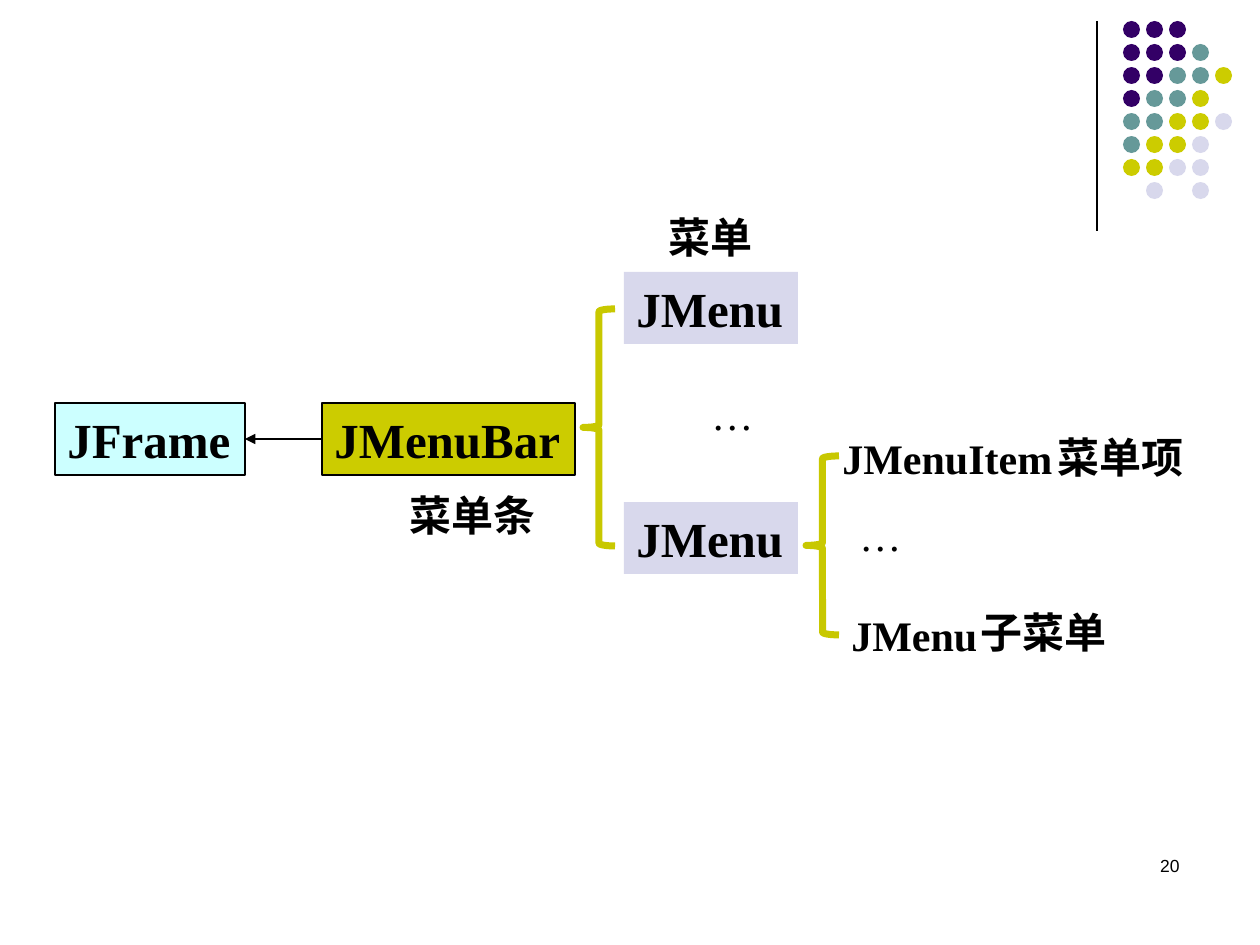
"""Builds a slide showing how a Swing menu bar is put together."""
from lxml.etree import SubElement
from pptx import Presentation
from pptx.dml.color import RGBColor
from pptx.enum.shapes import MSO_CONNECTOR as LINK, MSO_SHAPE as SHAPE
from pptx.enum.text import MSO_ANCHOR as ANCHOR, MSO_AUTO_SIZE as FIT, PP_ALIGN as ALIGN
from pptx.oxml.ns import qn
from pptx.util import Emu, Pt

BLACK, CYAN, OLIVE, LAVENDER = "000000", "CCFFFF", "CCCC00", "D8D8EC"
DOT_COLORS = {"P": "330066", "T": "669999", "O": OLIVE, "L": LAVENDER}
DOT_ROWS = ["PPP", "PPPT", "PPTTO", "PTTO", "TTOOL", "TOOL", "OOLL", " L L"]
LATIN, SANS = "Times New Roman", "Arial"


def px(length):
    """Turn pixels into EMU at 126 pixels to the inch."""
    return Emu(round(length * 914400 / 126))


def color(hex_code):
    """Turn a hex string into a colour."""
    return RGBColor.from_string(hex_code)


class MenuSlide:
    """Holds the style and the current slide."""

    def __init__(self, slide):
        """Keep the slide to draw on."""
        self.shapes = slide.shapes
        self.thin = Pt(0.75)

    def add_words(self, frame, text, size, font, bold=True, align=ALIGN.LEFT, wrap=False, fit=FIT.SHAPE_TO_FIT_TEXT):
        """Put one styled run in a text frame."""
        frame.word_wrap = wrap
        frame.auto_size = fit
        frame.vertical_anchor = ANCHOR.TOP
        paragraph = frame.paragraphs[0]
        paragraph.alignment = align
        run = paragraph.add_run()
        run.text = text
        run.font.size, run.font.name, run.font.bold = Pt(size), font, bold
        run.font.color.rgb = color(BLACK)

    def label(self, text, x, y, width, height=63, size=24, font=LATIN, **style):
        """Add a free-standing text."""
        box = self.shapes.add_textbox(px(x), px(y), px(width), px(height))
        self.add_words(box.text_frame, text, size, font, **style)

    def shape(self, kind, x, y, width, height, fill=None, line=None, weight=None):
        """Add a preset shape."""
        item = self.shapes.add_shape(kind, px(x), px(y), px(width), px(height))
        item.shadow.inherit = False
        if fill:
            item.fill.solid()
            item.fill.fore_color.rgb = color(fill)
        else:
            item.fill.background()
        if line:
            item.line.color.rgb = color(line)
            item.line.width = weight or self.thin
        else:
            item.line.fill.background()
        return item

    def component(self, name, x, y, width, fill, line=None):
        """Add a named class box."""
        box = self.shape(SHAPE.RECTANGLE, x, y, width, 72, fill, line)
        self.add_words(box.text_frame, name, 28, LATIN)
        return box

    def brace(self, x, y, width, height):
        """Add a left brace."""
        self.shape(SHAPE.LEFT_BRACE, x, y, width, height, line="C8C800", weight=Pt(4))

    def line(self, kind, x1, y1, x2, y2, arrow=False):
        """Add a thin line, with an arrowhead at its end if asked."""
        link = self.shapes.add_connector(kind, px(x1), px(y1), px(x2), px(y2))
        link.line.color.rgb = color(BLACK)
        link.line.width = self.thin
        properties = link.element.spPr
        if arrow:
            SubElement(properties.find(qn("a:ln")), qn("a:tailEnd"), type="triangle")
        SubElement(properties, qn("a:effectLst"))
        return link

    def dots(self, x, y, pitch=23, size=17):
        """Add the grid of corner dots."""
        for row, codes in enumerate(DOT_ROWS):
            for column, code in enumerate(codes):
                if code in DOT_COLORS:
                    self.shape(SHAPE.OVAL, x + column * pitch, y + row * pitch, size, size, DOT_COLORS[code])


def main():
    """Build and save the slide."""
    deck = Presentation()
    deck.slide_width, deck.slide_height = px(1260), px(945)
    page = MenuSlide(deck.slides.add_slide(deck.slide_layouts[6]))

    page.line(LINK.STRAIGHT, 1097, 21, 1097, 231)
    page.dots(1123, 21)
    page.label("20", 898, 849, 294, size=10, font=SANS, bold=False, align=ALIGN.RIGHT, wrap=True, fit=FIT.NONE)

    frame = page.component("JFrame", 55, 403, 190, CYAN, BLACK)
    menu_bar = page.component("JMenuBar", 322, 403, 253, OLIVE, BLACK)
    for menu_y in (272, 502):
        page.component("JMenu", 624, menu_y, 174, LAVENDER)
    attachment = page.line(LINK.CURVE, 322, 439, 245, 439, arrow=True)
    attachment.begin_connect(menu_bar, 1)
    attachment.end_connect(frame, 3)

    page.brace(583, 309, 32, 237)
    page.brace(806, 456, 33, 179)

    page.label("JMenuItem", 830, 426, 237)
    page.label("JMenu", 839, 603, 152)
    page.label("…", 699, 382, 67, bold=False)
    page.label("…", 847, 503, 68, bold=False)

    page.label("菜单条", 397, 483, 154, font=SANS)
    page.label("菜单", 655, 205, 111, font=SANS, align=ALIGN.CENTER)
    page.label("菜单项", 1045, 425, 154, font=SANS, wrap=True)
    page.label("子菜单", 968, 600, 154, font=SANS)

    deck.save("out.pptx")


if __name__ == "__main__":
    main()
